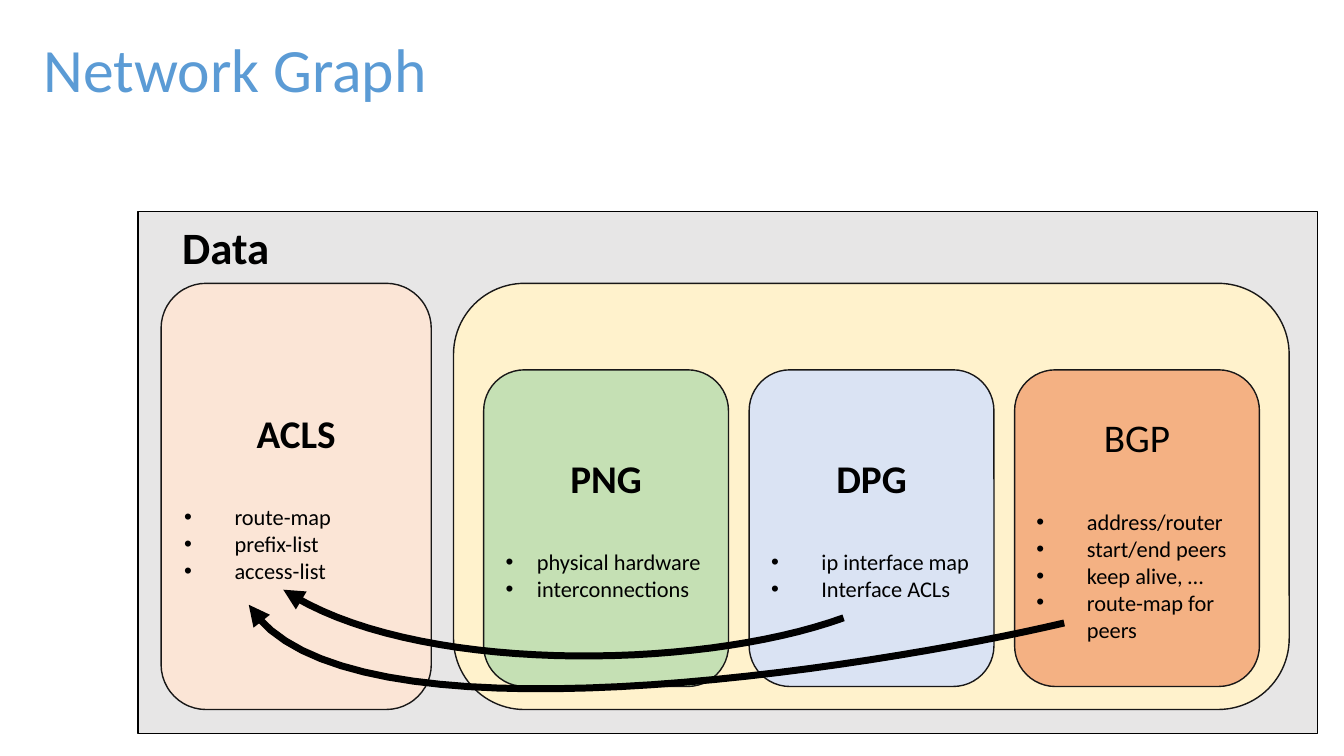
from dataclasses import dataclass

from lxml import etree
from pptx import Presentation
from pptx.dml.color import RGBColor
from pptx.enum.shapes import MSO_SHAPE
from pptx.enum.text import MSO_ANCHOR, MSO_AUTO_SIZE, PP_ALIGN
from pptx.oxml.ns import qn
from pptx.util import Cm, Pt

RECT, ROUNDED = MSO_SHAPE.RECTANGLE, MSO_SHAPE.ROUNDED_RECTANGLE
MIDDLE = MSO_ANCHOR.MIDDLE
LEFT, CENTER = PP_ALIGN.LEFT, PP_ALIGN.CENTER
GROW = MSO_AUTO_SIZE.SHAPE_TO_FIT_TEXT
TITLE_ONLY = 5

TITLE = "Network Graph"
FRAME_LABEL = "Data"
# heading, bold heading, fill, bullet indent in cm, bullets
ACLS = ("ACLS", True, "FBE5D6", 1.27, ["route-map", "prefix-list", "access-list"])
GRAPHS = [
    ("PNG", True, "C5E0B4", 0.79, ["physical hardware", "interconnections"]),
    ("DPG", True, "DAE3F3", 1.27, ["ip interface map", "Interface ACLs"]),
    ("BGP", False, "F4B183", 1.27,
     ["address/router", "start/end peers", "keep alive, …", "route-map for peers"]),
]
# Bezier control points in cm, from a graph to the ACLS card
ACL_LINKS = [
    [(21.26, 15.57), (17.53, 16.92), (10.31, 16.99), (7.14, 14.86)],
    [(26.82, 15.7), (22.07, 16.81), (8.56, 19.02), (6.27, 15.24)],
]

# left, top, width, height in cm
TITLE_BOX = (0.84, 0, 29.21, 3.68)
FRAME_BOX = (3.48, 5.33, 29.72, 13.16)
FRAME_LABEL_BOX = (4.34, 5.41, 3.86, 1.63)
ACLS_BOX = (4.06, 7.14, 6.81, 10.74)
GRAPHS_BOX = (11.43, 7.14, 21.06, 10.74)
FIRST_GRAPH_BOX = (12.19, 9.32, 6.17, 7.98)
GRAPH_PITCH = 6.69
CURVE_STEPS = 32


@dataclass(frozen=True)
class Theme:
    font: str = "Calibri"
    title: str = "5B9BD5"
    text: str = "000000"
    outline: str = "181717"
    frame: str = "E7E6E6"
    graphs: str = "FFF2CC"
    title_size: int = 44
    label_size: int = 32
    heading_size: int = 28
    bullet_size: int = 16
    heading_gap: int = 34
    outline_width: int = 1
    link_width: int = 5


THEME = Theme()


def rgb(color):
    return RGBColor.from_string(color)


def set_font(paragraph, size, bold=False, color=THEME.text):
    font = paragraph.font
    font.name, font.size, font.bold = THEME.font, Pt(size), bold
    font.color.rgb = rgb(color)


def add_panel(slide, kind, box, fill, outline=THEME.outline):
    panel = slide.shapes.add_shape(kind, *map(Cm, box))
    panel.shadow.inherit = False
    panel.fill.solid()
    panel.fill.fore_color.rgb = rgb(fill)
    panel.line.color.rgb = rgb(outline)
    panel.line.width = Pt(THEME.outline_width)
    return panel


def add_bullet(frame, text, indent):
    paragraph = frame.add_paragraph()
    paragraph.text = text
    paragraph.alignment = LEFT
    properties = paragraph._p.get_or_add_pPr()
    properties.set("marL", str(Cm(indent)))
    properties.set("indent", str(-Cm(indent)))
    etree.SubElement(properties, qn("a:buFont"), typeface="Arial")
    etree.SubElement(properties, qn("a:buChar"), char="•")
    set_font(paragraph, THEME.bullet_size)


def add_card(slide, box, card):
    heading, bold, fill, indent, bullets = card
    frame = add_panel(slide, ROUNDED, box, fill).text_frame
    frame.word_wrap = True
    frame.vertical_anchor = MIDDLE
    paragraph = frame.paragraphs[0]
    paragraph.text = heading
    paragraph.alignment = CENTER
    paragraph.space_after = Pt(THEME.heading_gap)
    set_font(paragraph, THEME.heading_size, bold)
    for bullet in bullets:
        add_bullet(frame, bullet, indent)


def bezier_point(controls, t):
    weights = ((1 - t) ** 3, 3 * t * (1 - t) ** 2, 3 * t ** 2 * (1 - t), t ** 3)
    return tuple(Cm(sum(w * c for w, c in zip(weights, axis)))
                 for axis in zip(*controls))


def add_curved_arrow(slide, controls):
    start, *rest = [bezier_point(controls, step / CURVE_STEPS)
                    for step in range(CURVE_STEPS + 1)]
    builder = slide.shapes.build_freeform(*start)
    builder.add_line_segments(rest, close=False)
    arrow = builder.convert_to_shape()
    arrow.shadow.inherit = False
    arrow.fill.background()
    arrow.line.color.rgb = rgb(THEME.text)
    arrow.line.width = Pt(THEME.link_width)
    line = arrow.line._get_or_add_ln()
    etree.SubElement(line, qn("a:round"))
    etree.SubElement(line, qn("a:tailEnd"), type="triangle")


def add_title(slide):
    title = slide.shapes.title
    title.left, title.top, title.width, title.height = map(Cm, TITLE_BOX)
    title.text_frame.vertical_anchor = MIDDLE
    paragraph = title.text_frame.paragraphs[0]
    paragraph.text = TITLE
    paragraph.alignment = LEFT
    paragraph.line_spacing = 0.9
    set_font(paragraph, THEME.title_size, color=THEME.title)


def add_frame_label(slide):
    frame = slide.shapes.add_textbox(*map(Cm, FRAME_LABEL_BOX)).text_frame
    frame.word_wrap = True
    frame.auto_size = GROW
    frame.paragraphs[0].text = FRAME_LABEL
    set_font(frame.paragraphs[0], THEME.label_size, bold=True)


def main():
    deck = Presentation()
    deck.slide_width, deck.slide_height = Cm(33.87), Cm(19.05)
    slide = deck.slides.add_slide(deck.slide_layouts[TITLE_ONLY])
    add_title(slide)
    add_panel(slide, RECT, FRAME_BOX, THEME.frame, THEME.text)
    add_panel(slide, ROUNDED, GRAPHS_BOX, THEME.graphs)
    left, *top_and_size = FIRST_GRAPH_BOX
    for column, graph in enumerate(GRAPHS):
        add_card(slide, (left + column * GRAPH_PITCH, *top_and_size), graph)
    add_card(slide, ACLS_BOX, ACLS)
    for controls in ACL_LINKS:
        add_curved_arrow(slide, controls)
    add_frame_label(slide)
    deck.save("out.pptx")


if __name__ == "__main__":
    main()
